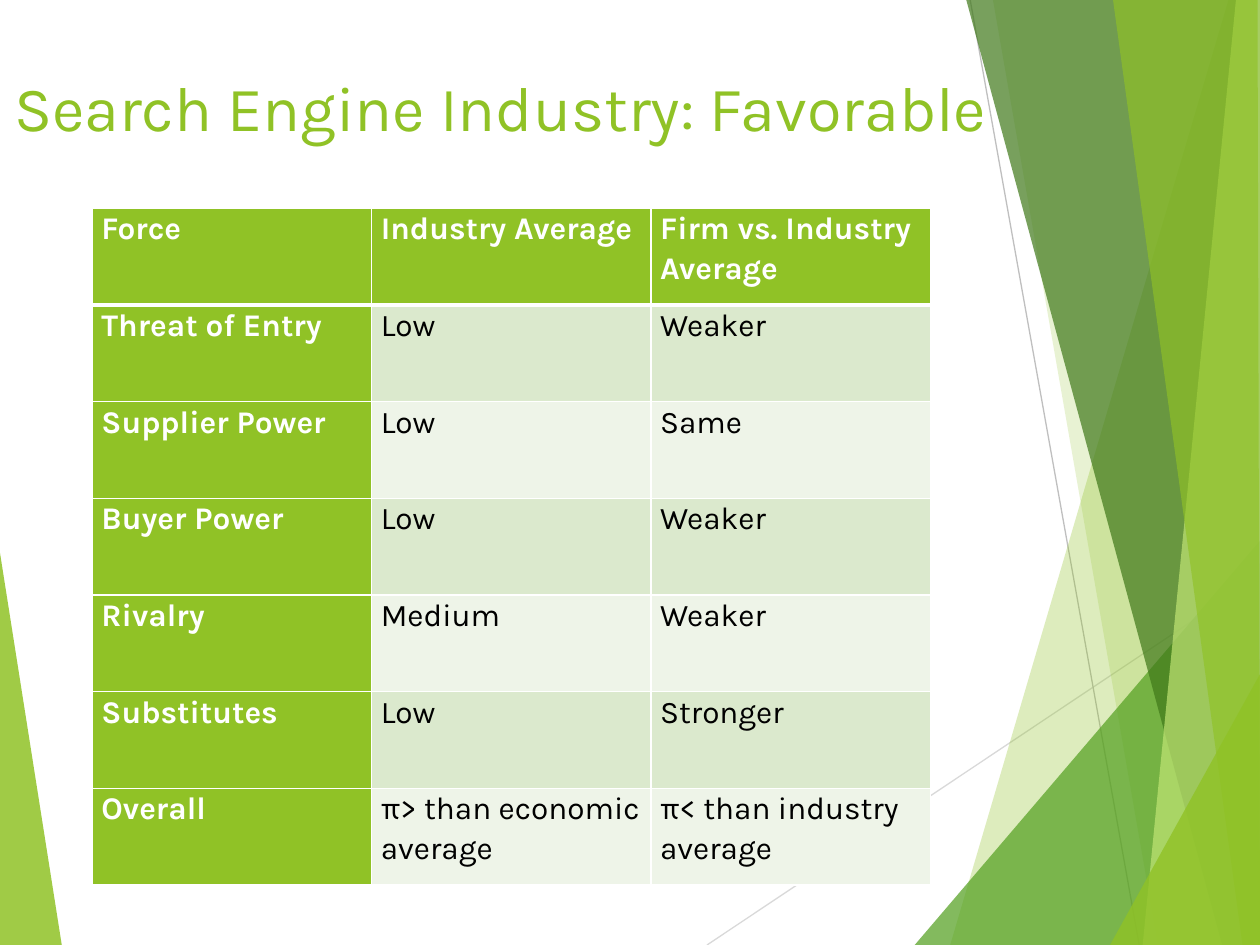
from lxml import etree
from pptx import Presentation, util as u
from pptx.dml.color import RGBColor
from pptx.enum import shapes, text
from pptx.oxml import ns

GREEN, WHITE, BLACK = "90C226", "FFFFFF", "000000"
BANDS = "DBE9CD", "EEF4E8"
WIDTH, HEIGHT = 720, 540

# Outline points, colour, opacity in percent
LEFT_WEDGE = [(0, 316), (35.3, 540), (0, 540)], GREEN, 85
RIGHT_FACETS = [
    ([(702, 0), (720, 0), (720, 540), (543, 540)], GREEN, 30),
    ([(567.4, 0), (720, 0), (720, 540), (661.7, 540)], GREEN, 20),
    ([(522.7, 540), (720, 309), (720, 540)], "54A021", 72),
    ([(552.2, 0), (720, 0), (720, 540), (698.4, 540)], "3F7819", 70),
    ([(706.3, 0), (720, 0), (720, 540), (653, 540)], "C0E474", 70),
    ([(636, 0), (718.6, 0), (720, 540), (710, 540)], GREEN, 65),
    ([(634.3, 540), (720, 385.2), (720, 540)], GREEN, 80),
]
ROWS = [
    ("Force", "Industry Average", "Firm vs. Industry Average"),
    ("Threat of Entry", "Low", "Weaker"),
    ("Supplier Power", "Low", "Same"),
    ("Buyer Power", "Low", "Weaker"),
    ("Rivalry", "Medium", "Weaker"),
    ("Substitutes", "Low", "Stronger"),
    ("Overall", "π> than economic average", "π< than industry average"),
]


def colour(value):
    return RGBColor.from_string(value)


def add_element(parent, tag, **attributes):
    return etree.SubElement(parent, ns.qn(tag), **attributes)


class SlideBuilder:
    font_name = "Karla"

    def __init__(self, slide):
        self.slide = slide

    def style(self, paragraph, size, ink, bold=False):
        font = paragraph.font
        font.name, font.size, font.bold = self.font_name, u.Pt(size), bold
        font.color.rgb = colour(ink)

    def facet(self, points, fill, opacity):
        """Draw a translucent polygon without an outline."""
        points = [(u.Pt(x), u.Pt(y)) for x, y in points]
        builder = self.slide.shapes.build_freeform(*points[0])
        builder.add_line_segments(points[1:], close=True)
        shape = builder.convert_to_shape()
        shape.shadow.inherit = False
        shape.line.fill.background()
        shape.fill.solid()
        shape.fill.fore_color.rgb = colour(fill)
        tint = shape._element.spPr.find(".//" + ns.qn("a:srgbClr"))
        add_element(tint, "a:alpha", val=str(opacity * 1000))

    def line(self, start, end, ink):
        connector = self.slide.shapes.add_connector(
            shapes.MSO_CONNECTOR.STRAIGHT, *(u.Pt(v) for v in start + end))
        connector.line.color.rgb = colour(ink)
        connector.line.width = u.Pt(0.75)
        add_element(connector._element.spPr, "a:effectLst")

    def title(self, words, left, top, width, height):
        box = self.slide.shapes.add_textbox(*map(u.Pt, (left, top, width, height)))
        frame = box.text_frame
        frame.word_wrap = True
        frame.vertical_anchor = text.MSO_ANCHOR.MIDDLE
        frame.text = words
        self.style(frame.paragraphs[0], 36, GREEN)

    def borders(self, cell, **widths):
        properties = cell._tc.get_or_add_tcPr()
        for side in "LRTB":
            width = u.Pt(widths.get(side, 1))
            border = add_element(properties, f"a:ln{side}", w=str(width))
            fill = add_element(border, "a:solidFill")
            add_element(fill, "a:srgbClr", val=WHITE)

    def table(self, rows, left, top, column_width, row_height):
        columns = len(rows[0])
        table = self.slide.shapes.add_table(
            len(rows), columns, u.Pt(left), u.Pt(top),
            u.Pt(column_width * columns), u.Pt(row_height * len(rows))).table
        for r, row in enumerate(rows):
            for c, words in enumerate(row):
                cell = table.cell(r, c)
                heading = r == 0 or c == 0
                cell.margin_left = cell.margin_right = u.Pt(5.2)
                cell.margin_top = cell.margin_bottom = 0
                self.borders(cell, T=3 if r == 1 else 1, B=3 if r == 0 else 1)
                cell.fill.solid()
                cell.fill.fore_color.rgb = colour(
                    GREEN if heading else BANDS[(r - 1) % 2])
                cell.text = words
                paragraph = cell.text_frame.paragraphs[0]
                paragraph.line_spacing = 1.07
                self.style(paragraph, 18, WHITE if heading else BLACK, heading)


def main():
    presentation = Presentation()
    presentation.slide_width, presentation.slide_height = u.Pt(WIDTH), u.Pt(HEIGHT)
    builder = SlideBuilder(
        presentation.slides.add_slide(presentation.slide_layouts[6]))
    builder.facet(*LEFT_WEDGE)
    builder.line((404, 540), (720, 329), "D9D9D9")
    builder.line((554.4, 0), (651, 540), "BFBFBF")
    for facet in RIGHT_FACETS:
        builder.facet(*facet)
    builder.title("Search Engine Industry: Favorable", 1, 33, 618, 55.5)
    builder.table(ROWS, 52.8, 119, 159.6, 55.25)
    presentation.save("out.pptx")


if __name__ == "__main__":
    main()
